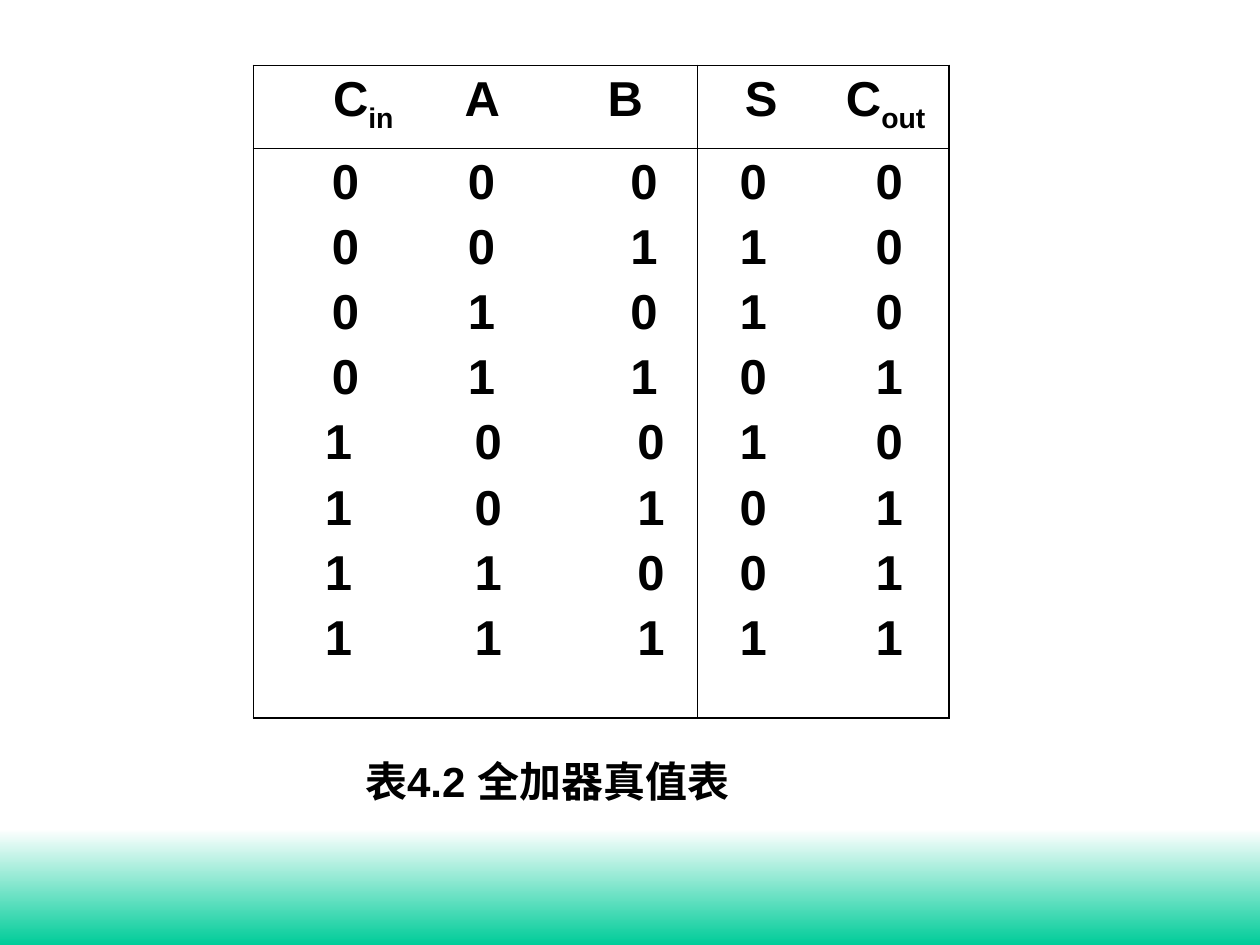
"""Build the slide with the truth table of a full adder."""
from lxml import etree
from pptx import Presentation
from pptx.dml.color import RGBColor
from pptx.enum.shapes import MSO_SHAPE
from pptx.oxml import parse_xml
from pptx.oxml.ns import nsdecls, qn
from pptx.util import Cm, Pt

RECTANGLE = MSO_SHAPE.RECTANGLE
BLACK = "000000"
THICK, THIN = Pt(1.08), Pt(0.45)


def color(value):
    return RGBColor.from_string(value)


def style(para, size, tabs=()):
    if tabs:
        tab_list = etree.SubElement(para._p.get_or_add_pPr(), qn("a:tabLst"))
        for position in tabs:
            etree.SubElement(tab_list, qn("a:tab"), pos=str(Cm(position)), algn="ctr")
    para.font.name = "Arial"
    para.font.size = Pt(size)
    para.font.bold = True
    para.font.color.rgb = color(BLACK)


deck = Presentation()
deck.slide_width, deck.slide_height = Cm(25.4), Cm(19.05)
slide = deck.slides.add_slide(deck.slide_layouts[6])

band = slide.shapes.add_shape(RECTANGLE, Cm(0), Cm(16.71), Cm(25.4), Cm(2.34))
band.shadow.inherit = False
band.line.fill.background()
band.fill.gradient()
band.fill.gradient_angle = 270
for stop, position, value in zip(band.fill.gradient_stops, (0, 1), ("FFFFFF", "00CC99")):
    stop.position = position
    stop.color.rgb = color(value)

frame = slide.shapes.add_table(2, 2, Cm(5.11), Cm(1.32), Cm(14.02), Cm(13.16))
table = frame.table
table.first_row = table.horz_banding = False
for column, width in zip(table.columns, (8.94, 5.08)):
    column.width = Cm(width)
for row, height in zip(table.rows, (1.68, 11.48)):
    row.height = Cm(height)

for row in range(2):
    for column in range(2):
        cell = table.cell(row, column)
        properties = cell._tc.get_or_add_tcPr()
        outer_sides = {"L": column == 0, "R": column == 1, "T": row == 0, "B": row == 1}
        for side, outer in outer_sides.items():
            properties.append(parse_xml(
                f'<a:ln{side} {nsdecls("a")} w="{THICK if outer else THIN}"><a:solidFill>'
                f'<a:srgbClr val="{BLACK}"/></a:solidFill></a:ln{side}>'))
        cell.fill.background()

headings = [
    ([("C", "in"), ("A", ""), ("B", "")], (1.96, 4.36, 7.24)),
    ([("S", ""), ("C", "out")], (1.04, 3.55)),
]
for column, (names, tabs) in enumerate(headings):
    para = table.cell(0, column).text_frame.paragraphs[0]
    style(para, 28, tabs)
    for name, subscript in names:
        para.add_run().text = "\t" + name
        if subscript:
            span = para.add_run()
            span.text = subscript
            span._r.get_or_add_rPr().set("baseline", "-25000")

for number in range(8):
    inputs = [number >> 2 & 1, number >> 1 & 1, number & 1]
    outputs = [sum(inputs) % 2, sum(inputs) // 2]
    input_tabs = (1.6, 4.34, 7.62) if number < 4 else (1.46, 4.48, 7.76)
    for column, (bits, tabs) in enumerate([(inputs, input_tabs), (outputs, (0.88, 3.62))]):
        text = table.cell(1, column).text_frame
        para = text.add_paragraph() if number else text.paragraphs[0]
        para.add_run().text = "".join(f"\t{bit}" for bit in bits)
        if number:
            para.space_before = Pt(6)
        style(para, 28, tabs)

caption = slide.shapes.add_textbox(Cm(7.11), Cm(15.11), Cm(10.21), Cm(1.27))
caption.text_frame.word_wrap = True
para = caption.text_frame.paragraphs[0]
para.add_run().text = "表4.2 全加器真值表"
style(para, 24)

deck.save("out.pptx")
